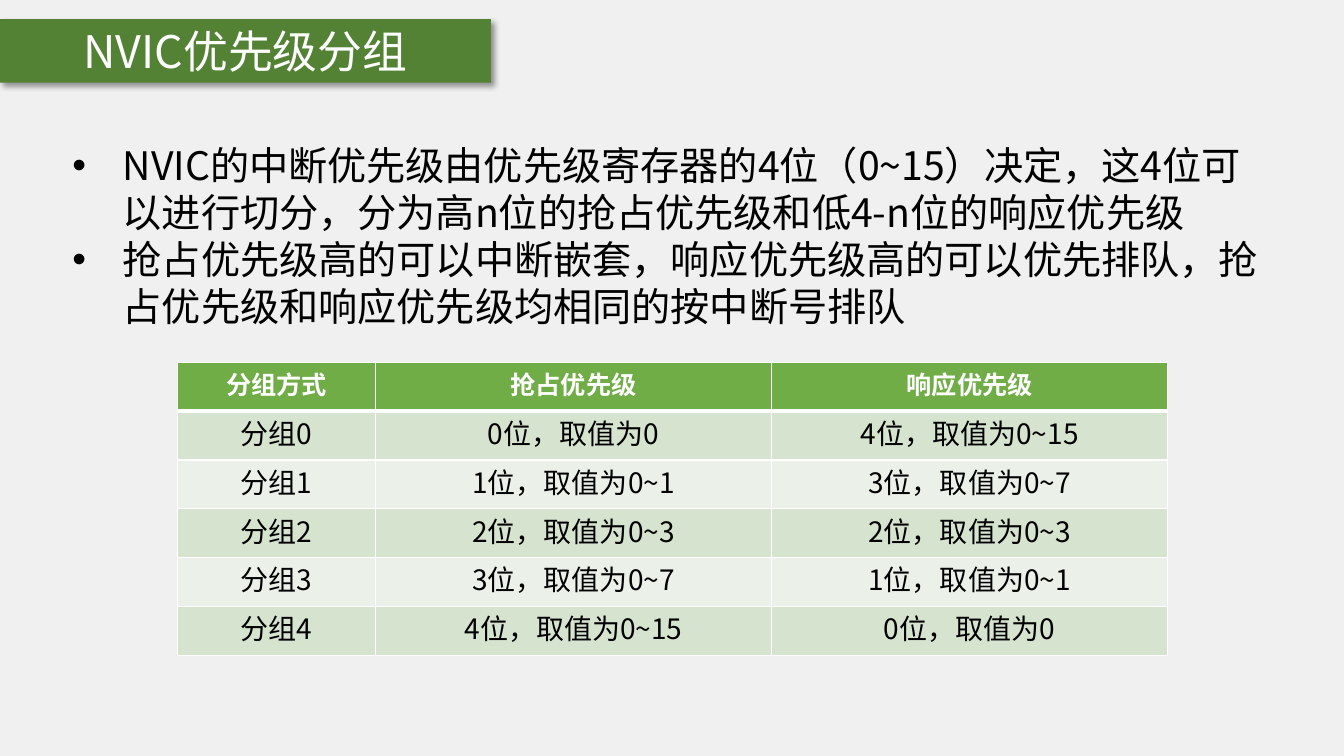
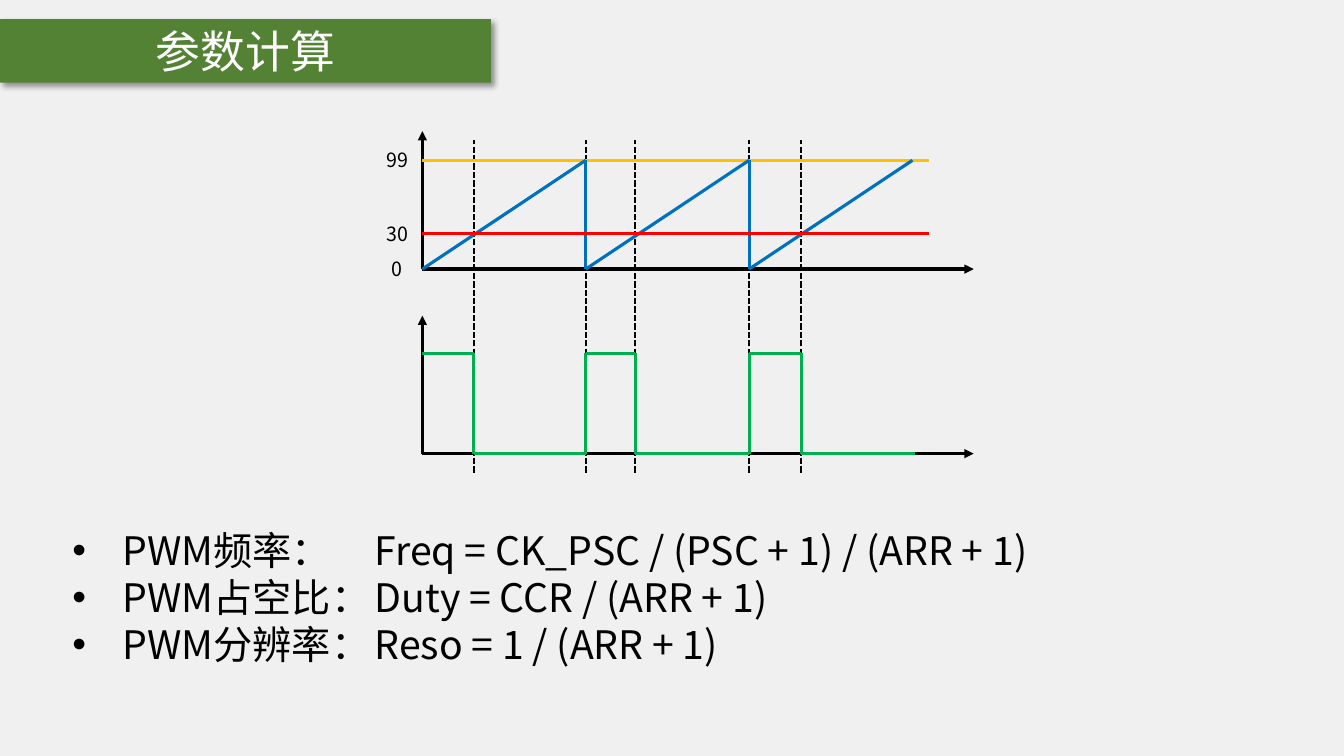
import pptx
import pptx.dml.color
import pptx.enum.dml
import pptx.enum.shapes
import pptx.enum.text
import pptx.oxml
import pptx.oxml.ns
import pptx.util
import lxml.etree

Pt = pptx.util.Pt
RGBColor = pptx.dml.color.RGBColor
ALIGN = pptx.enum.text.PP_ALIGN
ANCHOR = pptx.enum.text.MSO_ANCHOR
NO_FIT = pptx.enum.text.MSO_AUTO_SIZE.NONE
STRAIGHT = pptx.enum.shapes.MSO_CONNECTOR.STRAIGHT
qn = pptx.oxml.ns.qn

# Shared style
FONT = "Noto Sans CJK SC"
LINE_HEIGHT = 1.2
BACKGROUND = RGBColor(0xF0, 0xF0, 0xF0)
BAND = RGBColor(0x54, 0x82, 0x35)
HEADER = RGBColor(0x70, 0xAD, 0x47)
ROW_DARK = RGBColor(0xD5, 0xE3, 0xCF)
ROW_LIGHT = RGBColor(0xEB, 0xF1, 0xE9)
WHITE = RGBColor(0xFF, 0xFF, 0xFF)
BLACK = RGBColor(0x00, 0x00, 0x00)
YELLOW = RGBColor(0xFF, 0xC0, 0x00)
BLUE = RGBColor(0x00, 0x70, 0xC0)
RED = RGBColor(0xFF, 0x00, 0x00)
GREEN = RGBColor(0x00, 0xB0, 0x50)

TITLE_BOX = (0, 13.7, 350.6, 45.4)
TITLE_SHADOW = (
    f'<a:effectLst {pptx.oxml.ns.nsdecls("a")}>'
    '<a:outerShdw blurRad="50800" dist="38100" dir="2700000" algn="tl" rotWithShape="0">'
    '<a:srgbClr val="000000"><a:alpha val="40000"/></a:srgbClr>'
    '</a:outerShdw></a:effectLst>')

# Slide contents
PRIORITY_POINTS = [
    "NVIC的中断优先级由优先级寄存器的4位（0~15）决定，这4位可以进行切分，分为高n位的抢占优先级和低4-n位的响应优先级",
    "抢占优先级高的可以中断嵌套，响应优先级高的可以优先排队，抢占优先级和响应优先级均相同的按中断号排队",
]
PRIORITY_HEADINGS = ["分组方式", "抢占优先级", "响应优先级"]
PWM_FORMULAS = [
    "PWM频率：\tFreq = CK_PSC / (PSC + 1) / (ARR + 1)",
    "PWM占空比：\tDuty = CCR / (ARR + 1)",
    "PWM分辨率：\tReso = 1 / (ARR + 1)",
]


def style_paragraph(para, size, color, align=ALIGN.LEFT, bold=False):
    para.alignment = align
    para.line_spacing = Pt(size * LINE_HEIGHT)
    for span in para.runs:
        span.font.size = Pt(size)
        span.font.bold = bold
        span.font.color.rgb = color
        span.font.name = FONT
        east_asian = lxml.etree.SubElement(span.font._element, qn("a:ea"))
        east_asian.set("typeface", FONT)


def add_bullet(para, indent=36):
    properties = para._p.get_or_add_pPr()
    properties.set("marL", str(Pt(indent)))
    properties.set("indent", str(-Pt(indent)))
    properties.set("defTabSz", str(Pt(72)))
    lxml.etree.SubElement(properties, qn("a:buFont")).set("typeface", "Arial")
    lxml.etree.SubElement(properties, qn("a:buChar")).set("char", "•")


def add_titled_page(deck, title):
    page = deck.slides.add_slide(deck.slide_layouts[5])
    band = page.shapes.title
    band.left, band.top, band.width, band.height = map(Pt, TITLE_BOX)
    band.fill.solid()
    band.fill.fore_color.rgb = BAND
    band._element.spPr.append(pptx.oxml.parse_xml(TITLE_SHADOW))
    frame = band.text_frame
    frame.text = title
    frame.auto_size = NO_FIT
    frame.vertical_anchor = ANCHOR.MIDDLE
    style_paragraph(frame.paragraphs[0], 32, WHITE, ALIGN.CENTER)
    return page


def add_bullet_list(page, box, items):
    frame = page.shapes.add_textbox(*map(Pt, box)).text_frame
    frame.word_wrap = True
    frame.text = "\n".join(items)
    for para in frame.paragraphs:
        add_bullet(para)
        style_paragraph(para, 28, BLACK)


# Priority table
def set_borders(cell, bottom_width):
    properties = cell._tc.get_or_add_tcPr()
    widths = {"L": 1, "R": 1, "T": 1, "B": bottom_width}
    for position, (side, width) in enumerate(widths.items()):
        border = pptx.oxml.parse_xml(
            f'<a:ln{side} {pptx.oxml.ns.nsdecls("a")} w="{Pt(width)}">'
            f'<a:solidFill><a:srgbClr val="{WHITE}"/></a:solidFill></a:ln{side}>')
        properties.insert(position, border)


def describe_bits(bits):
    top = 2 ** bits - 1
    return f"{bits}位，取值为0~{top}" if bits else "0位，取值为0"


def add_priority_table(page, box):
    rows = [PRIORITY_HEADINGS]
    rows += [[f"分组{n}", describe_bits(n), describe_bits(4 - n)] for n in range(5)]
    table = page.shapes.add_table(len(rows), 3, *map(Pt, box)).table
    width, height = box[2:]
    for column, share in zip(table.columns, (0.2, 0.4, 0.4)):
        column.width = Pt(width * share)
    for index, texts in enumerate(rows):
        is_header = index == 0
        fill = HEADER if is_header else (ROW_DARK if index % 2 else ROW_LIGHT)
        table.rows[index].height = Pt(height / len(rows))
        for cell, text in zip(table.rows[index].cells, texts):
            cell.text = text
            cell.vertical_anchor = ANCHOR.MIDDLE
            cell.fill.solid()
            cell.fill.fore_color.rgb = fill
            set_borders(cell, 3 if is_header else 1)
            style_paragraph(cell.text_frame.paragraphs[0], 18 if is_header else 20,
                            WHITE if is_header else BLACK, ALIGN.CENTER, is_header)


# Timing diagram
def add_timing_diagram(page, left, top):
    group = page.shapes.add_group_shape()

    def add_line(start, end, color, width=2.25, dashed=False, arrow=False):
        points = (left + start[0], top + start[1], left + end[0], top + end[1])
        line = group.shapes.add_connector(STRAIGHT, *map(Pt, points))
        line.line.color.rgb = color
        line.line.width = Pt(width)
        if dashed:
            line.line.dash_style = pptx.enum.dml.MSO_LINE.SQUARE_DOT
        if arrow:
            outline = line.line._get_or_add_ln()
            lxml.etree.SubElement(outline, qn("a:tailEnd")).set("type", "triangle")
        lxml.etree.SubElement(line._element.spPr, qn("a:effectLst"))

    period = 116.7
    rises = [period * cycle for cycle in range(3)]
    falls = [36.7, 152, 270.7]
    counter_zero, compare, reload = 98.6, 73.4, 20.9
    output_low, output_high = 230.4, 158.8

    # Cycle and compare guides
    for x in sorted(rises[1:] + falls):
        add_line((x, 244), (x, 6.5), BLACK, 1.5, dashed=True)

    # Axes of the counter and of the output
    for zero in (counter_zero, output_low):
        add_line((0, zero), (0, zero - 98.6), BLACK, arrow=True)
        add_line((0, zero), (393.8, zero), BLACK, arrow=True)

    # Counter between zero and the reload value
    add_line((0, reload), (362, reload), YELLOW)
    for rise in rises:
        add_line((rise, counter_zero), (rise + period, reload), BLUE)
        if rise:
            add_line((rise, counter_zero), (rise, reload), BLUE)
    add_line((0, compare), (362, compare), RED)

    # Output pulses
    for rise, fall, following in zip(rises, falls, rises[1:] + [352]):
        if rise:
            add_line((rise, output_low), (rise, output_high), GREEN)
        add_line((rise, output_high), (fall, output_high), GREEN)
        add_line((fall, output_high), (fall, output_low), GREEN)
        add_line((fall, output_low), (following, output_low), GREEN)

    # Level labels
    width, height = 39, 24.5
    for text, level in (("0", counter_zero), ("30", compare), ("99", reload)):
        label = group.shapes.add_textbox(Pt(left - 37.5), Pt(top + level - height / 2),
                                         Pt(width), Pt(height))
        label.text_frame.word_wrap = True
        label.text_frame.text = text
        style_paragraph(label.text_frame.paragraphs[0], 14, BLACK, ALIGN.CENTER)


def build_priority_page(deck):
    page = add_titled_page(deck, "NVIC优先级分组")
    add_bullet_list(page, (44.6, 97.2, 869.8, 143.3), PRIORITY_POINTS)
    add_priority_table(page, (126.7, 258.8, 707.4, 209.5))


def build_parameter_page(deck):
    page = add_titled_page(deck, "参数计算")
    add_bullet_list(page, (44.6, 372.2, 869.8, 108.7), PWM_FORMULAS)
    add_timing_diagram(page, 301.7, 93.6)


def main():
    deck = pptx.Presentation()
    deck.slide_width, deck.slide_height = Pt(960), Pt(540)
    background = deck.slide_master.background.fill
    background.solid()
    background.fore_color.rgb = BACKGROUND
    build_priority_page(deck)
    build_parameter_page(deck)
    deck.save("out.pptx")


if __name__ == "__main__":
    main()
